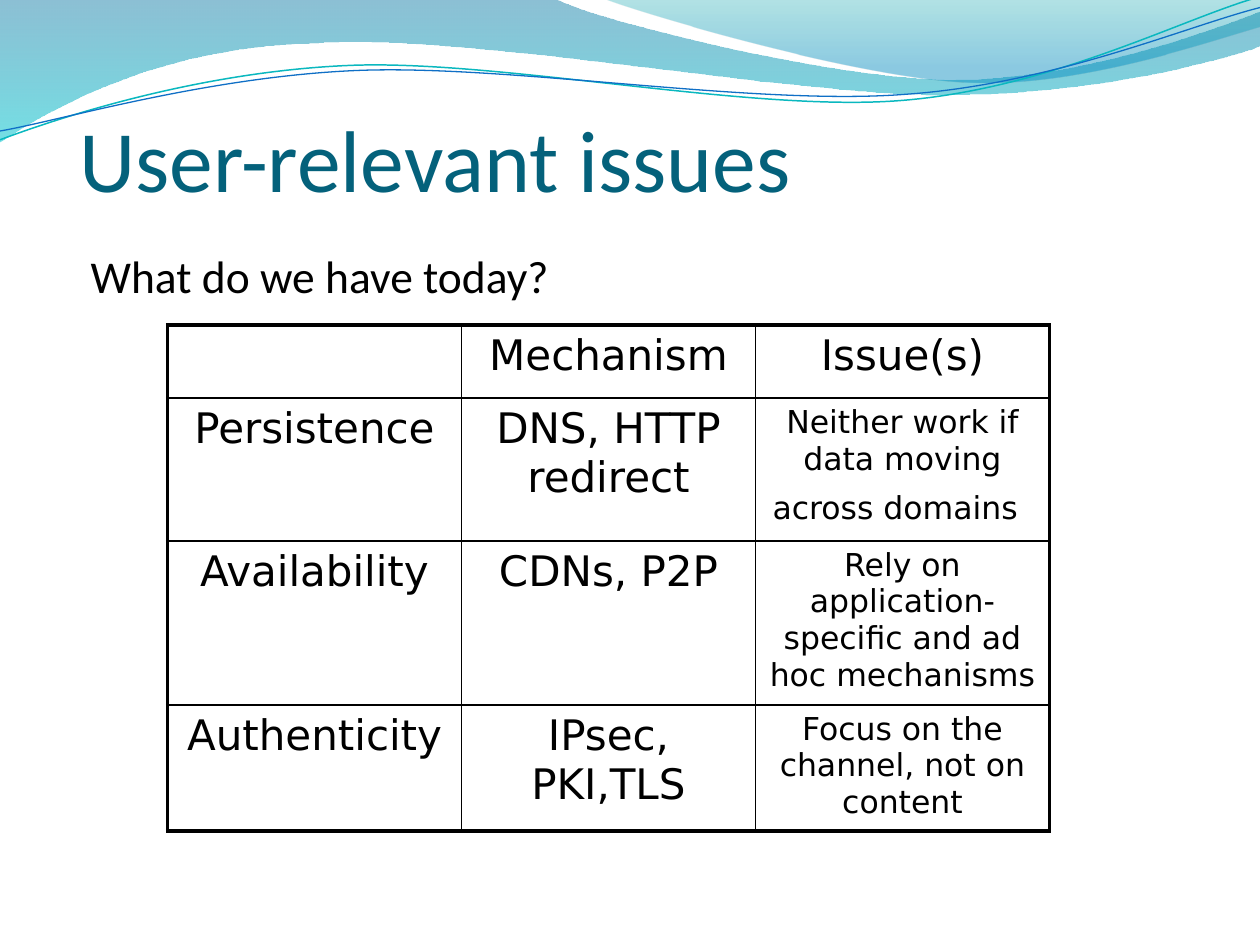
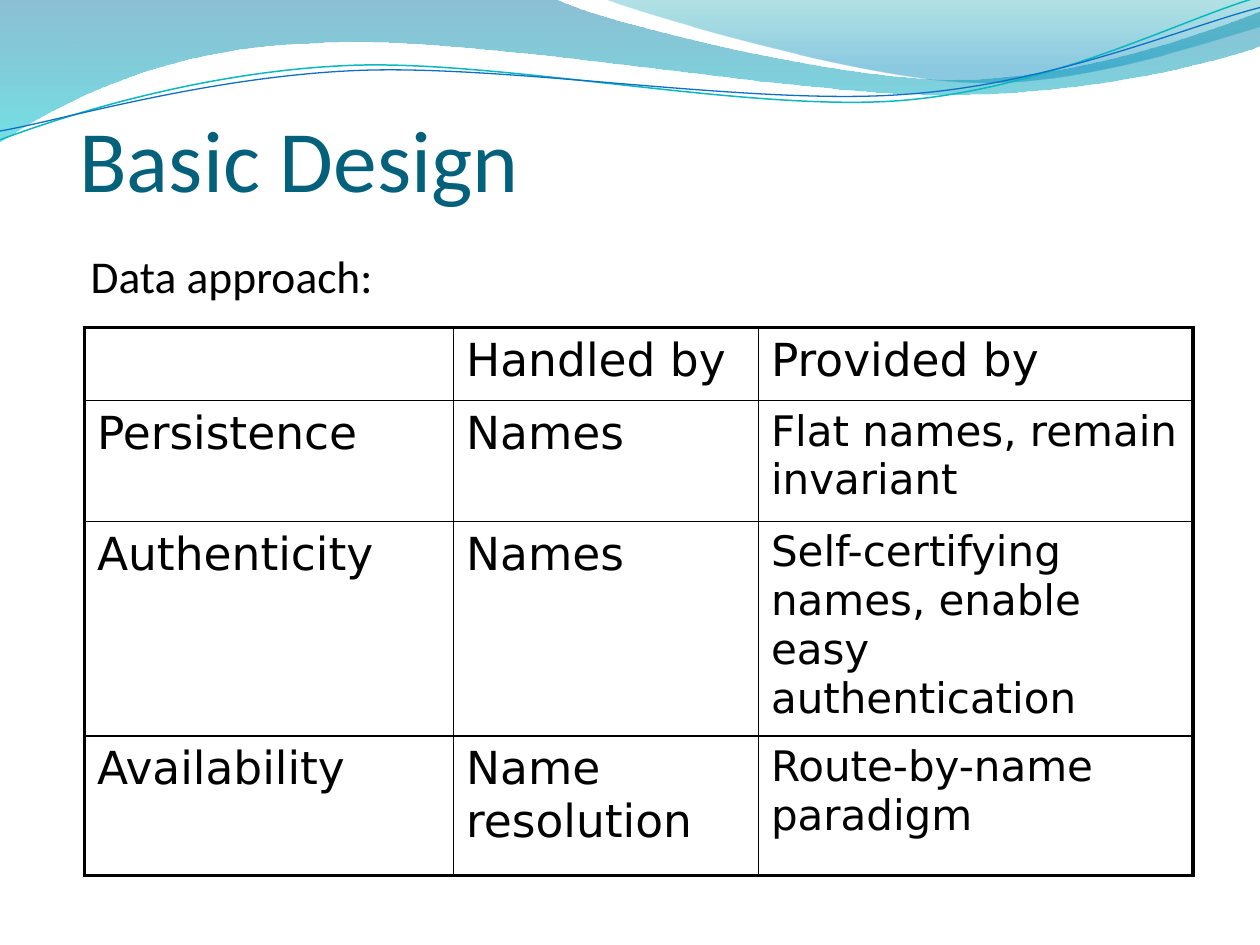
from dataclasses import dataclass

from lxml import etree
from pptx import Presentation
from pptx import util as u
from pptx.dml.color import RGBColor
from pptx.enum import text
from pptx.oxml import ns


@dataclass(frozen=True)
class Theme:
    paper: str = "FFFFFF"
    ink: str = "000000"
    title: str = "04617B"
    title_size: int = 50
    lead_size: int = 26
    large: int = 26
    medium: int = 24
    small: int = 18
    heading_font: str = "Calibri"
    table_font: str = "DejaVu Sans"
    outer_border: float = 2.25
    inner_border: float = 1
    wide_wave: tuple = ((0, "0074A1", 45), (100, "00C6CF", 55))
    right_wave: tuple = ((0, "00A1A9", 30), (80, "008BBF", 45))
    teal_line: str = "0AB8BF"
    blue_line: str = "0F6FC6"


WIDE_WAVE = [
    (0, 0), (4.4, -0.01),
    (4.76, 0.17, 6.64, 0.63, 7.58, 0.63), (8.53, 0.63, 9.58, 0.26, 10, 0.09),
    (10.01, 0.36),
    (9.83, 0.44, 8.7, 0.76, 7.46, 0.75), (6.22, 0.75, 3.82, 0.28, 2.57, 0.34),
    (1.29, 0.36, 0.46, 0.83, -0.01, 1.13), (0, 0),
]
RIGHT_WAVE = [
    (4.79, -0.01),
    (5.09, 0.11, 6.82, 0.62, 7.69, 0.65), (8.56, 0.69, 9.61, 0.32, 10, 0.21),
    (10, 0), (4.79, -0.01),
]
TEAL_CURVE = [
    (0, 1.11),
    (0.48, 0.93, 1.58, 0.57, 2.77, 0.52), (3.95, 0.47, 5.93, 0.89, 7.13, 0.8),
    (8.33, 0.71, 9.38, 0.15, 9.98, -0.02),
]
BLUE_CURVE = [
    (0, 1.04),
    (0.47, 0.96, 1.64, 0.61, 2.83, 0.56), (4.03, 0.51, 5.97, 0.84, 7.17, 0.75),
    (8.36, 0.67, 9.41, 0.21, 10, 0.06),
]


def add_element(parent, tag, **attributes):
    element = etree.SubElement(parent, ns.qn(tag))
    for name, value in attributes.items():
        element.set(name, str(value))
    return element


class Deck:
    def __init__(self, theme):
        self.theme = theme
        self.presentation = Presentation()
        self.presentation.slide_width = u.Inches(10)
        self.presentation.slide_height = u.Inches(7.5)
        self.slide = None

    def add_slide(self, title, lead, lead_width):
        theme = self.theme
        self.slide = self.presentation.slides.add_slide(self.presentation.slide_layouts[6])
        fill = self.slide.background.fill
        fill.solid()
        fill.fore_color.rgb = RGBColor.from_string(theme.paper)
        self.add_wave(WIDE_WAVE, theme.wide_wave)
        self.add_wave(RIGHT_WAVE, theme.right_wave)
        self.add_curve(TEAL_CURVE, theme.teal_line, 0.85)
        self.add_curve(BLUE_CURVE, theme.blue_line, 0.75)
        self.add_text(title, (0.63, 0.33, 8.75, 1.34), theme.title_size, theme.title,
                      text.MSO_ANCHOR.BOTTOM, inset=0)
        self.add_text(lead, (0.62, 1.92, lead_width, 4.67), theme.lead_size, theme.ink,
                      text.MSO_ANCHOR.TOP, inset=0.1)

    def add_outline(self, segments, close):
        ends = [(u.Inches(segment[-2]), u.Inches(segment[-1])) for segment in segments]
        builder = self.slide.shapes.build_freeform(*ends[0])
        builder.add_line_segments(ends[1:], close=close)
        shape = builder.convert_to_shape()
        shape.shadow.inherit = False
        outline = next(shape.element.iter(ns.qn("a:path")))
        for line, segment in zip(outline.findall(ns.qn("a:lnTo")), segments[1:]):
            if len(segment) == 6:
                curve = etree.Element(ns.qn("a:cubicBezTo"))
                for x, y in zip(segment[::2], segment[1::2]):
                    add_element(curve, "a:pt", x=u.Inches(x) - shape.left,
                                y=u.Inches(y) - shape.top)
                outline.replace(line, curve)
        return shape

    def add_wave(self, segments, stops):
        shape = self.add_outline(segments, True)
        shape.line.fill.background()
        shape.fill.gradient()
        gradient = shape.element.spPr.find(ns.qn("a:gradFill"))
        for child in list(gradient):
            gradient.remove(child)
        stop_list = add_element(gradient, "a:gsLst")
        for position, color, opacity in stops:
            stop = add_element(stop_list, "a:gs", pos=position * 1000)
            tint = add_element(stop, "a:srgbClr", val=color)
            add_element(tint, "a:alpha", val=opacity * 1000)
        add_element(gradient, "a:lin", ang=90 * 60000, scaled=0)

    def add_curve(self, segments, color, width):
        shape = self.add_outline(segments, False)
        shape.fill.background()
        shape.line.color.rgb = RGBColor.from_string(color)
        shape.line.width = u.Pt(width)

    def add_run(self, paragraph, words, size, font, color):
        run = paragraph.add_run()
        run.text = words
        run.font.size = u.Pt(size)
        run.font.name = font
        run.font.color.rgb = RGBColor.from_string(color)

    def add_text(self, words, box, size, color, anchor, inset):
        frame = self.slide.shapes.add_textbox(*map(u.Inches, box)).text_frame
        frame.word_wrap = True
        frame.vertical_anchor = anchor
        frame.margin_left = frame.margin_right = u.Inches(inset)
        frame.margin_bottom = u.Inches(inset / 2)
        self.add_run(frame.paragraphs[0], words, size, self.theme.heading_font, color)

    def add_borders(self, cell, outer_sides):
        properties = cell._tc.get_or_add_tcPr()
        for side, is_outer in outer_sides.items():
            width = self.theme.outer_border if is_outer else self.theme.inner_border
            line = add_element(properties, f"a:ln{side}", w=u.Pt(width))
            add_element(add_element(line, "a:solidFill"), "a:srgbClr", val=self.theme.ink)

    def add_table(self, box, widths, heights, rows, size, detail_size, alignment):
        row_count, column_count = len(heights), len(widths)
        frame = self.slide.shapes.add_table(row_count, column_count, *map(u.Inches, box))
        table = frame.table
        table.first_row = table.horz_banding = False
        for column, width in zip(table.columns, widths):
            column.width = u.Inches(width)
        for row, height in zip(table.rows, heights):
            row.height = u.Inches(height)
        frame.height = u.Inches(box[3])
        for r, row in enumerate(rows):
            for c, words in enumerate(row):
                cell = table.cell(r, c)
                self.add_borders(cell, {"L": c == 0, "R": c == column_count - 1,
                                        "T": r == 0, "B": r == row_count - 1})
                cell.fill.background()
                paragraph = cell.text_frame.paragraphs[0]
                paragraph.alignment = alignment
                is_detail = r > 0 and c == column_count - 1
                if words:
                    self.add_run(paragraph, words, detail_size if is_detail else size,
                                 self.theme.table_font, self.theme.ink)
        return table


def main():
    theme = Theme()
    deck = Deck(theme)

    deck.add_slide("User-relevant issues", "What do we have today?", 8.71)
    issues = deck.add_table(
        (1.33, 2.58, 7, 4.02), [7 / 3] * 3, [0.58, 1, 1, 1],
        [("", "Mechanism", "Issue(s)"),
         ("Persistence", "DNS, HTTP redirect", "Neither work if data moving across domains"),
         ("Availability", "CDNs, P2P", "Rely on application-specific and ad hoc mechanisms"),
         ("Authenticity", "IPsec, PKI,TLS", "Focus on the channel, not on content")],
        theme.medium, theme.small, text.PP_ALIGN.CENTER)
    deck.add_run(issues.cell(1, 2).text_frame.paragraphs[0], " ", theme.large,
                 theme.table_font, theme.ink)

    deck.add_slide("Basic Design", "Data approach:", 4.29)
    deck.add_table(
        (0.67, 2.6, 8.8, 4.35), [2.93, 2.42, 3.45], [0.58, 0.96, 0.96, 1.11],
        [("", "Handled by", "Provided by"),
         ("Persistence", "Names", "Flat names, remain invariant"),
         ("Authenticity", "Names", "Self-certifying names, enable easy authentication"),
         ("Availability", "Name resolution", "Route-by-name paradigm")],
        theme.large, theme.medium, text.PP_ALIGN.LEFT)

    deck.presentation.save("out.pptx")


if __name__ == "__main__":
    main()
